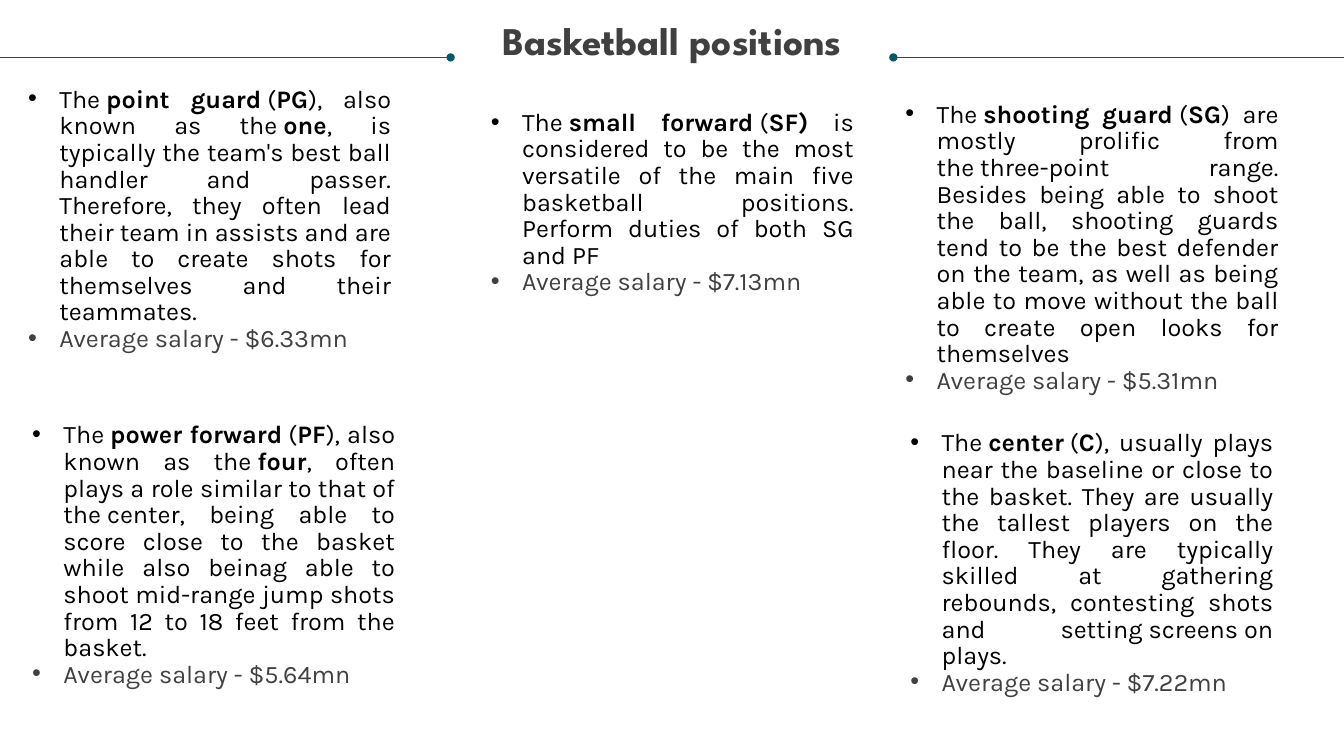
from lxml.etree import SubElement
from pptx import Presentation
from pptx.dml.color import RGBColor
from pptx.enum.shapes import MSO_CONNECTOR
from pptx.enum.text import MSO_AUTO_SIZE, PP_ALIGN
from pptx.oxml.ns import qn
from pptx.util import Inches, Pt

TEAL = RGBColor(0x08, 0x57, 0x64)
GREY = RGBColor(0x40, 0x40, 0x40)
BLACK = RGBColor(0, 0, 0)


class Board:
    """Draws styled elements on one slide, with lengths in percent of its size."""

    heading_font = "League Spartan"
    body_font = "Karla"
    hanging = Inches(0.31)

    def __init__(self, deck):
        self.width, self.height = deck.slide_width, deck.slide_height
        self.slide = deck.slides.add_slide(deck.slide_layouts[6])

    def across(self, share):
        return round(self.width * share / 100)

    def down(self, share):
        return round(self.height * share / 100)

    def frame(self, left, top, width, height):
        box = self.slide.shapes.add_textbox(
            self.across(left), self.down(top), self.across(width), self.down(height))
        frame = box.text_frame
        frame.word_wrap = True
        frame.auto_size = MSO_AUTO_SIZE.SHAPE_TO_FIT_TEXT
        frame.margin_left = frame.margin_right = 0
        frame.margin_top = frame.margin_bottom = 0
        return frame

    def run(self, paragraph, words, font, size, color, bold):
        run = paragraph.add_run()
        run.text = words
        run.font.name, run.font.size, run.font.bold = font, Pt(size), bold
        run.font.color.rgb = color

    def title(self, words, left, top, width, height):
        heading = self.frame(left, top, width, height).paragraphs[0]
        heading.alignment = PP_ALIGN.CENTER
        heading.line_spacing = 0.9
        self.run(heading, words, self.heading_font, 28, GREY, True)

    def bullet(self, paragraph, marked, color):
        paragraph.alignment = PP_ALIGN.JUSTIFY
        paragraph.line_spacing = Pt(19)
        properties = paragraph._p.get_or_add_pPr()
        properties.set("marL", str(self.hanging))
        properties.set("indent", str(-self.hanging))
        SubElement(properties, qn("a:buFont"), typeface="Arial")
        SubElement(properties, qn("a:buChar"), char="•")
        for order, words in enumerate(marked.split("*")):
            self.run(paragraph, words, self.body_font, 18, color, order % 2 == 1)

    def position(self, left, top, width, height, duties, salary):
        frame = self.frame(left, top, width, height)
        self.bullet(frame.paragraphs[0], duties, BLACK)
        self.bullet(frame.add_paragraph(), f"Average salary - ${salary}mn", GREY)

    def rule(self, edge, dot, level):
        line = self.slide.shapes.add_connector(
            MSO_CONNECTOR.STRAIGHT, self.across(edge), self.down(level),
            self.across(dot), self.down(level))
        line.line.color.rgb = TEAL
        line.line.width = Pt(0.5)
        SubElement(line.line._get_or_add_ln(), qn("a:tailEnd"), type="oval")
        SubElement(line._element.spPr, qn("a:effectLst"))


POSITIONS = [
    (2.1, 11.47, 27, 35.5,
     "The\u00a0*point guard*\u00a0(*PG*), also known as the\u00a0*one*, is typically "
     "the team's best ball handler and passer. Therefore, they often lead their team "
     "in assists and are able to create shots for themselves and their teammates.",
     "6.33"),
    (67.37, 13.47, 27.76, 39,
     "The\u00a0*shooting guard*\u00a0(*SG*) are mostly prolific from "
     "the\u00a0three-point range. Besides being able to shoot the ball, shooting "
     "guards tend to be the best defender on the team, as well as being able to move "
     "without the ball to create open looks for themselves",
     "5.31"),
    (2.4, 55.87, 27, 35.5,
     "The\u00a0*power forward*\u00a0(*PF*), also known as the\u00a0*four*, often plays "
     "a role similar to that of the\u00a0center, being able to score close to the "
     "basket while also beinag able to shoot mid-range jump shots from 12 to 18 feet "
     "from the basket.",
     "5.64"),
    (36.53, 14.53, 27, 24.8,
     "The\u00a0*small forward*\u00a0(*SF) *is considered to be the most versatile of "
     "the main five basketball positions. Perform duties of both SG and PF",
     "7.13"),
    (67.74, 56.93, 27, 35.5,
     "The\u00a0*center*\u00a0(*C*), usually plays near the baseline or close to the "
     "basket. They are usually the tallest players on the floor. They are typically "
     "skilled at gathering rebounds, contesting shots and "
     "setting\u00a0screens\u00a0on plays.",
     "7.22"),
]

deck = Presentation()
deck.slide_width, deck.slide_height = Inches(13.33), Inches(7.5)
board = Board(deck)
for edge, dot in ((0, 33.53), (100, 66.47)):
    board.rule(edge, dot, 7.6)
board.title("Basketball positions", 1.88, 2.8, 96.25, 11.3)
for position in POSITIONS:
    board.position(*position)
deck.save("out.pptx")
